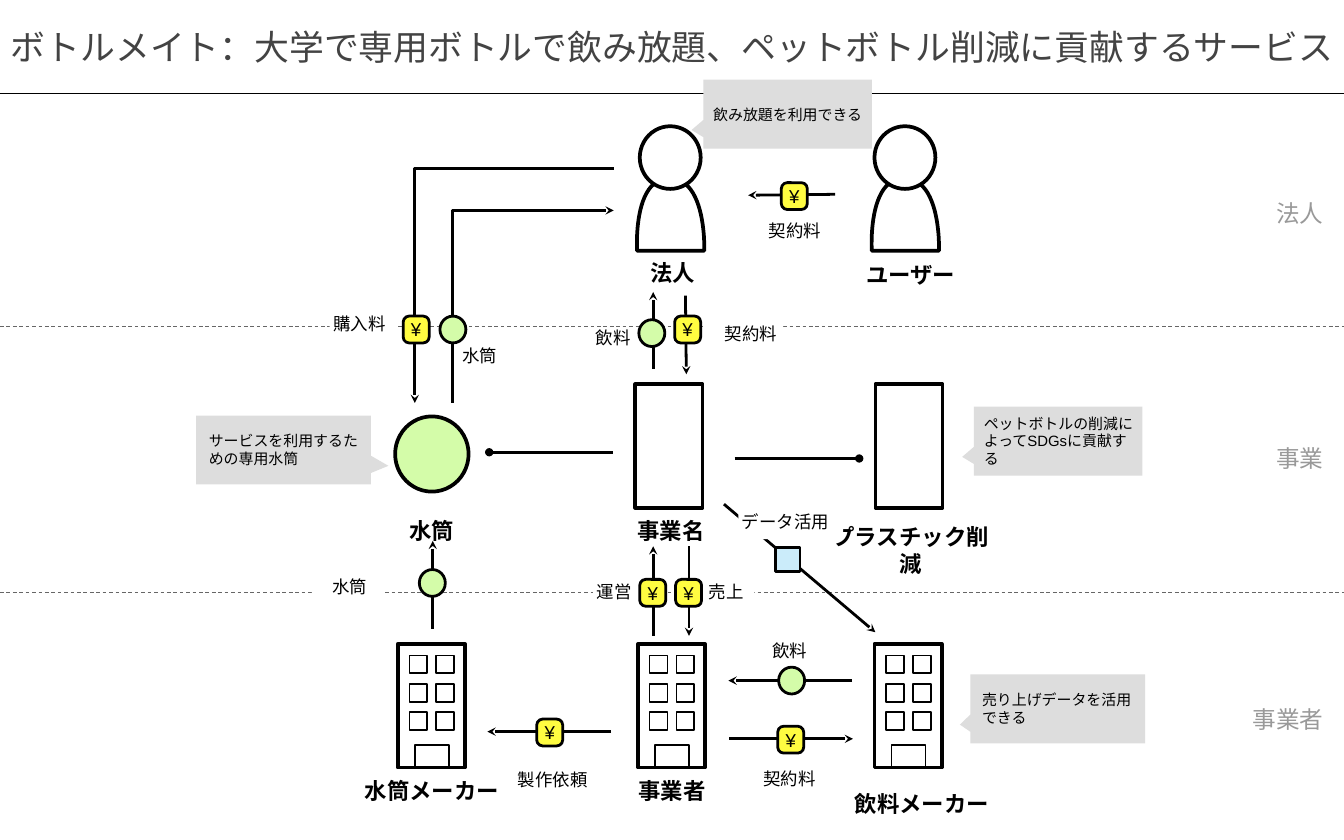
from lxml import etree
from pptx import Presentation
from pptx.dml.color import RGBColor
from pptx.enum.dml import MSO_LINE_DASH_STYLE as Dash
from pptx.enum.shapes import MSO_CONNECTOR as Connector, MSO_SHAPE as Shape
from pptx.enum.text import MSO_ANCHOR as Anchor, PP_ALIGN as Align
from pptx.oxml.ns import qn
from pptx.util import Inches, Pt

BLACK, WHITE, GRAY = "000000", "FFFFFF", "DDDDDD"
YELLOW, GREEN, BLUE = "FFFC41", "D4FCA9", "CBECFA"
MARKER = 0.29


def color(value):
    return RGBColor.from_string(value)


def style(shape, fill=None, width=None):
    shape.shadow.inherit = False
    if fill:
        shape.fill.solid()
        shape.fill.fore_color.rgb = color(fill)
    else:
        shape.fill.background()
    if width:
        shape.line.color.rgb = color(BLACK)
        shape.line.width = Pt(width)
    else:
        shape.line.fill.background()
    return shape


def add_box(shapes, kind, left, top, width, height, fill=None, line=None):
    box = shapes.add_shape(kind, Inches(left), Inches(top), Inches(width), Inches(height))
    return style(box, fill, line)


def write(shape, text, size, ink=BLACK, align=Align.LEFT, bold=False, inset=0.04, left_inset=None):
    frame = shape.text_frame
    frame.word_wrap = True
    frame.vertical_anchor = Anchor.MIDDLE
    frame.margin_left = Inches(left_inset or inset)
    frame.margin_right = frame.margin_top = frame.margin_bottom = Inches(inset)
    paragraph = frame.paragraphs[0]
    paragraph.alignment = align
    run = paragraph.add_run()
    run.text = text
    run.font.name = "Arial"
    run.font.size = Pt(size)
    run.font.bold = bold
    run.font.color.rgb = color(ink)


def add_text(shapes, left, top, width, height, text, size, **options):
    box = shapes.add_textbox(Inches(left), Inches(top), Inches(width), Inches(height))
    write(box, text, size, **options)


def add_label(shapes, left, top, width, height, text, indent=0.04):
    box = add_box(shapes, Shape.RECTANGLE, left, top, width, height, WHITE)
    write(box, text, 14, left_inset=indent)


def add_line(shapes, start, end, ink=BLACK, width=0.75, dash=None):
    line = shapes.add_connector(Connector.STRAIGHT, *map(Inches, start + end))
    line.line.color.rgb = color(ink)
    line.line.width = Pt(width)
    if dash:
        line.line.dash_style = dash
    etree.SubElement(line.element.spPr, qn("a:effectLst"))
    return line


def add_end(shape, kind):
    outline = shape.element.spPr.find(qn("a:ln"))
    etree.SubElement(outline, qn("a:tailEnd"), type=kind)


def add_arrow(shapes, start, end, kind="stealth"):
    add_end(add_line(shapes, start, end, width=2.25), kind)


def add_outline(shapes, points, close):
    first, *rest = [(Inches(x), Inches(y)) for x, y in points]
    builder = shapes.build_freeform(*first, scale=1.0)
    builder.add_line_segments(rest, close=close)
    return builder.convert_to_shape()


def add_elbow_arrow(shapes, points):
    add_end(style(add_outline(shapes, points, False), width=2.25), "stealth")


def curve(*controls, steps=24):
    points = []
    for step in range(1, steps + 1):
        t = step / steps
        weights = ((1 - t) ** 3, 3 * t * (1 - t) ** 2, 3 * t * t * (1 - t), t ** 3)
        points.append(tuple(sum(w * p[axis] for w, p in zip(weights, controls)) for axis in (0, 1)))
    return points


def add_person(shapes, left):
    group = shapes.add_group_shape().shapes
    top, bottom = 1.99, 2.8
    foot_left, foot_right, neck = (left, bottom), (left + 0.75, bottom), (left + 0.36, top)
    body = [foot_left, foot_right]
    body += curve(foot_right, foot_right, (left + 0.78, top), neck)
    body += curve(neck, (left - 0.05, top), foot_left, foot_left)
    style(add_outline(group, body, True), WHITE, 3)
    add_box(group, Shape.OVAL, left + 0.03, 1.41, 0.68, 0.7, WHITE, 3)


def add_building(shapes, left):
    group = shapes.add_group_shape().shapes
    add_box(group, Shape.RECTANGLE, left, 7.19, 0.75, 1.38, WHITE, 3)
    for row in range(3):
        for column in range(2):
            add_box(group, Shape.RECTANGLE, left + 0.13 + 0.3 * column,
                    7.32 + 0.315 * row, 0.2, 0.2, WHITE, 1.5)
    add_box(group, Shape.RECTANGLE, left + 0.19, 8.32, 0.38, 0.26, None, 1.5)


def add_callout(shapes, left, top, width, tip, text_left, text):
    box = add_box(shapes, Shape.ROUNDED_RECTANGULAR_CALLOUT, left, top, width, 0.77, GRAY)
    for index, value in enumerate((tip, 0.23, 0)):
        box.adjustments[index] = value
    add_text(shapes, text_left, top + 0.05, 1.83, 0.67, text, 12)


def add_money(shapes, left, top):
    box = add_box(shapes, Shape.ROUNDED_RECTANGLE, left, top, MARKER, 0.3, YELLOW, 2.25)
    box.adjustments[0] = 0.23
    write(box, "¥", 15, align=Align.CENTER)


def add_goods(shapes, left, top):
    add_box(shapes, Shape.OVAL, left, top, MARKER, 0.3, GREEN, 2.25)


def add_frame(shapes):
    for y in (3.65, 6.62):
        add_line(shapes, (0, y), (15, y), "666666", dash=Dash.DASH)
    add_text(shapes, 0, 0, 15, 1.05, "ボトルメイト：大学で専用ボトルで飲み放題、ペットボトル削減に貢献するサービス",
             28, ink="434343", align=Align.CENTER, inset=0.1)
    add_line(shapes, (0, 1.04), (15, 1.04))
    for top, layer in ((2.23, "法人"), (4.97, "事業"), (7.88, "事業者")):
        add_text(shapes, 13.54, top, 1.27, 0.3, layer, 19, ink="999999", align=Align.RIGHT)


def add_actors(shapes):
    for left in (7.11, 9.73):
        add_person(shapes, left)
    for left in (7.09, 9.77):
        add_box(shapes, Shape.RECTANGLE, left, 4.29, 0.75, 1.38, None, 3)
    add_box(shapes, Shape.OVAL, 4.41, 4.65, 0.82, 0.84, GREEN, 3)
    for left in (4.44, 7.12, 9.76):
        add_building(shapes, left)
    for left, top, width, name in (
            (6.39, 2.88, 2.24, "法人"), (9.58, 2.9, 1.17, "ユーザー"),
            (3.84, 5.76, 1.95, "水筒"), (6.77, 5.76, 1.44, "事業名"),
            (9.25, 5.98, 1.83, "プラスチック削減"), (3.55, 8.66, 2.54, "水筒メーカー"),
            (6.23, 8.66, 2.54, "事業者"), (9.02, 8.81, 2.54, "飲料メーカー")):
        add_text(shapes, left, top, width, 0.33, name, 18, align=Align.CENTER, bold=True)


def add_flows(shapes):
    for start, end in (
            ((9.32, 2.17), (8.35, 2.18)), ((7.29, 4.12), (7.29, 3.26)),
            ((7.65, 3.3), (7.66, 4.18)), ((7.29, 7.1), (7.29, 6.1)),
            ((7.69, 6.1), (7.69, 7.1)), ((4.83, 7.02), (4.83, 6.04)),
            ((6.82, 8.17), (5.44, 8.17)), ((9.51, 7.6), (8.13, 7.6)),
            ((8.14, 8.25), (9.52, 8.25)), ((8.08, 5.63), (9.77, 7.06))):
        add_arrow(shapes, start, end)
    add_arrow(shapes, (6.84, 5.05), (5.46, 5.05), "oval")
    add_arrow(shapes, (8.2, 5.12), (9.59, 5.12), "oval")
    add_elbow_arrow(shapes, [(6.85, 1.88), (4.63, 1.88), (4.63, 4.5)])
    add_elbow_arrow(shapes, [(5.05, 4.5), (5.05, 2.35), (6.85, 2.35)])
    for label in (
            (6.62, 6.49, 0.55, 0.23, "運営"), (7.87, 6.49, 0.55, 0.23, "売上"),
            (3.48, 6.43, 0.8, 0.23, "水筒", 0.23), (6.61, 3.67, 0.66, 0.2, "飲料"),
            (5.74, 8.51, 1.17, 0.4, "製作依頼"), (8.29, 8.49, 1.17, 0.4, "契約料", 0.23),
            (3.68, 3.47, 0.76, 0.29, "購入料"), (5.12, 3.81, 0.62, 0.31, "水筒"),
            (8.39, 7.07, 0.85, 0.38, "飲料", 0.23), (8.35, 2.38, 0.95, 0.39, "契約料", 0.23),
            (8.24, 5.62, 1.17, 0.4, "データ活用"), (7.86, 3.5, 0.88, 0.45, "契約料", 0.23)):
        add_label(shapes, *label)
    for left, top in ((8.72, 2.04), (4.5, 3.53), (7.53, 3.53), (7.14, 6.47),
                      (7.54, 6.47), (5.99, 8.03), (8.68, 8.11)):
        add_money(shapes, left, top)
    for left, top in ((4.91, 3.53), (7.13, 3.57), (4.68, 6.36), (8.69, 7.45)):
        add_goods(shapes, left, top)
    add_box(shapes, Shape.RECTANGLE, 8.66, 6.11, 0.27, 0.27, BLUE, 2.25)


def main():
    presentation = Presentation()
    presentation.slide_width, presentation.slide_height = Inches(15), Inches(9.38)
    shapes = presentation.slides.add_slide(presentation.slide_layouts[6]).shapes
    add_frame(shapes)
    add_actors(shapes)
    add_flows(shapes)
    add_callout(shapes, 7.85, 0.89, 1.88, -0.57, 7.92, "飲み放題を利用できる")
    add_callout(shapes, 2.19, 4.64, 1.95, 0.6, 2.29, "サービスを利用するための専用水筒")
    add_callout(shapes, 10.87, 4.54, 1.88, -0.57, 10.94, "ペットボトルの削減によってSDGsに貢献する")
    add_callout(shapes, 10.83, 7.53, 1.95, -0.56, 10.92, "売り上げデータを活用できる")
    presentation.save("out.pptx")


if __name__ == "__main__":
    main()
